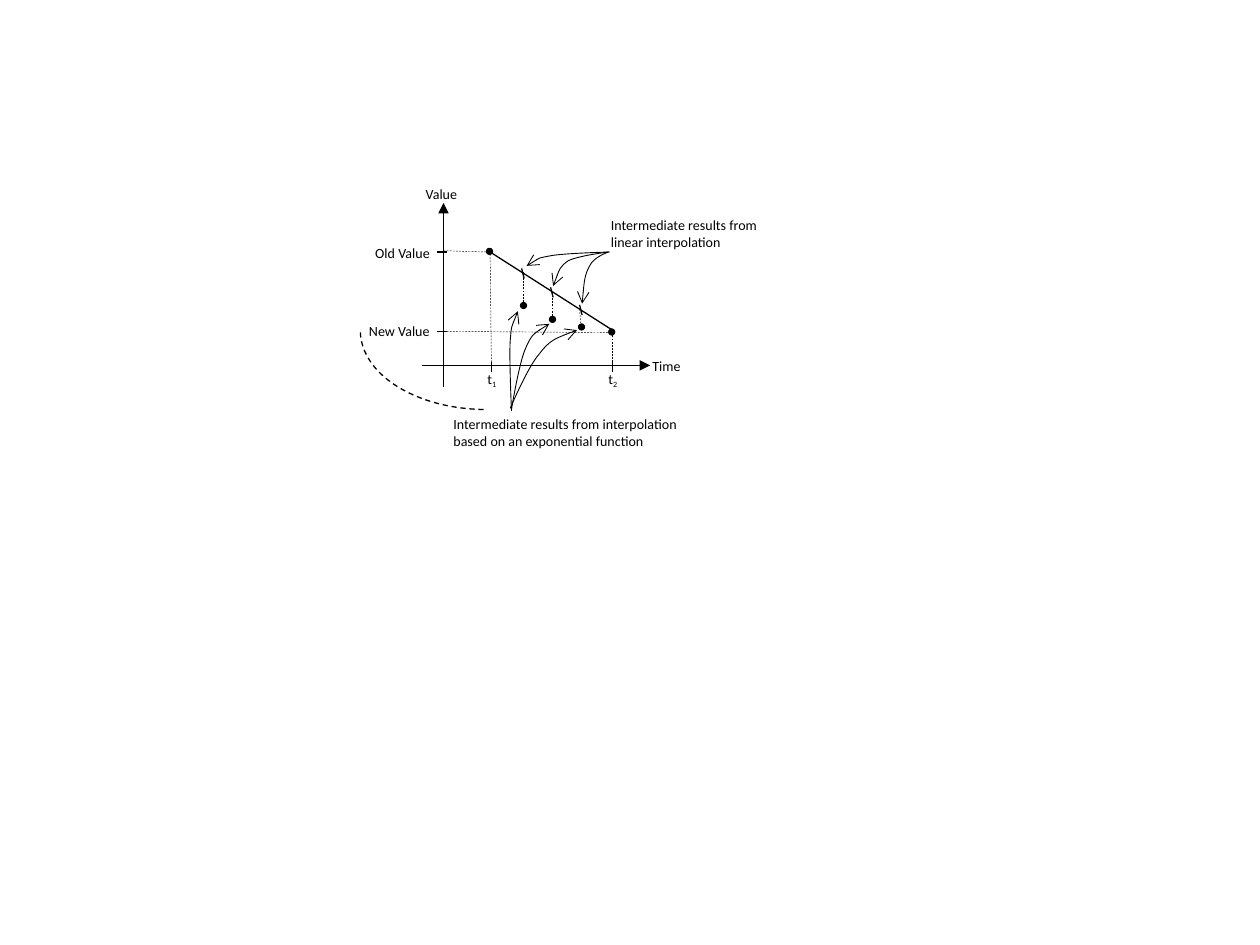
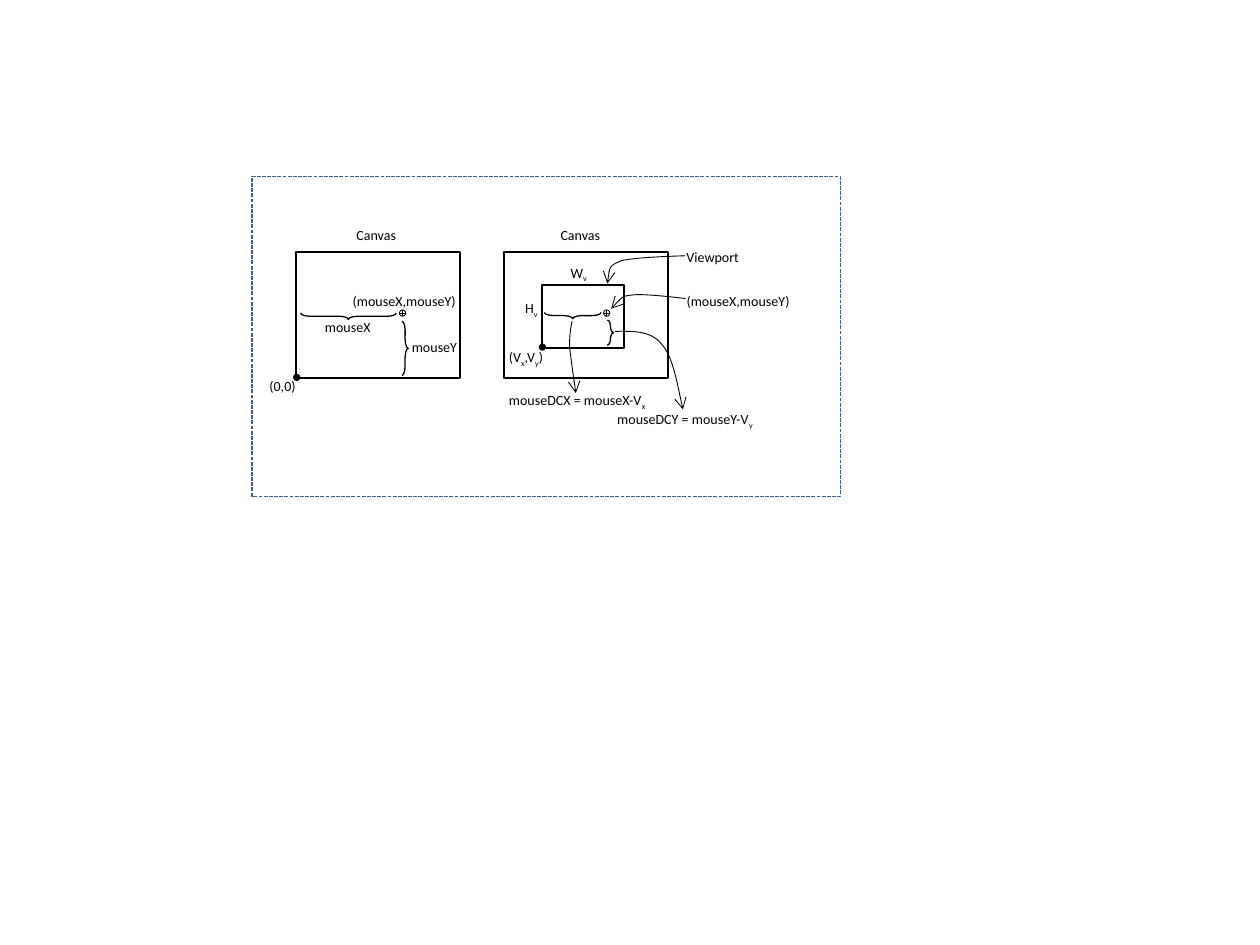
from typing import NamedTuple, Optional

from lxml import etree
from pptx import Presentation
from pptx.dml.color import RGBColor
from pptx.enum.dml import MSO_LINE
from pptx.enum.shapes import MSO_CONNECTOR, MSO_SHAPE
from pptx.enum.text import MSO_AUTO_SIZE
from pptx.oxml.ns import qn
from pptx.util import Inches, Pt

BLACK = RGBColor(0x00, 0x00, 0x00)
FRAME_BLUE = RGBColor(0x3A, 0x5F, 0x8C)
FONT = "Calibri"
LABEL_H = 0.24
DOT = 0.05
TICK = 0.08


class Label(NamedTuple):
    """A text box; an underscore lowers the character after it."""
    text: str
    x: float
    y: float
    w: float


class Line(NamedTuple):
    """A straight line between two points."""
    x1: float
    y1: float
    x2: float
    y2: float


class Curve(NamedTuple):
    """Two joined Bezier segments, starting at the arrow tip."""
    points: tuple


class Brace(NamedTuple):
    """A right brace, turned to point down when rotated by 90 degrees."""
    x: float
    y: float
    h: float
    rotation: int = 0


def add_text(slide, text: str, x: float, y: float, w: float, *, h: float = LABEL_H,
             size: float = 8, right: float = 0.05, color: RGBColor = BLACK):
    """Add a text box, lowering each character that follows an underscore."""
    s = slide.shapes.add_textbox(Inches(x), Inches(y), Inches(w), Inches(h))
    tf = s.text_frame
    tf.word_wrap = True
    tf.auto_size = MSO_AUTO_SIZE.SHAPE_TO_FIT_TEXT
    tf.margin_right = Inches(right)
    first, *rest = text.split("_")
    pieces = [(first, False)]
    for part in rest:
        pieces += [(part[0], True), (part[1:], False)]
    for piece, lowered in pieces:
        if piece:
            r = tf.paragraphs[0].add_run()
            r.text = piece
            r.font.name, r.font.size = FONT, Pt(size)
            r.font.color.rgb = color
            if lowered:
                r._r.get_or_add_rPr().set("baseline", "-25000")
    return s


def set_line(s, width: float, color: RGBColor = BLACK, dash=None, head: Optional[str] = None) -> None:
    """Style an outline and optionally put an arrowhead at its start."""
    s.line.color.rgb = color
    s.line.width = Pt(width)
    if dash:
        s.line.dash_style = dash
    if head:
        ln = s._element.spPr.find(qn("a:ln"))
        etree.SubElement(ln, qn("a:headEnd"), type=head)


def add_line(slide, line: Line, width: float = 0.75, **style):
    """Add a straight connector without a shadow."""
    x1, y1, x2, y2 = map(Inches, line)
    s = slide.shapes.add_connector(MSO_CONNECTOR.STRAIGHT, x1, y1, x2, y2)
    set_line(s, width, **style)
    etree.SubElement(s._element.spPr, qn("a:effectLst"))
    return s


def add_shape(slide, kind, x: float, y: float, w: float, h: float, *,
              width: float = 0.75, fill: Optional[RGBColor] = None, **style):
    """Add an outlined preset shape, empty unless a fill is given."""
    s = slide.shapes.add_shape(kind, Inches(x), Inches(y), Inches(w), Inches(h))
    s.shadow.inherit = False
    if fill is None:
        s.fill.background()
    else:
        s.fill.solid()
        s.fill.fore_color.rgb = fill
    set_line(s, width, **style)
    return s


def add_dot(slide, kind, x: float, y: float, fill: Optional[RGBColor] = BLACK):
    """Add a small round marker."""
    return add_shape(slide, kind, x, y, DOT, DOT, width=0.5, fill=fill)


def add_brace(slide, brace: Brace) -> None:
    """Add a right brace."""
    s = add_shape(slide, MSO_SHAPE.RIGHT_BRACE, brace.x, brace.y, 0.05, brace.h)
    s.adjustments[0] = 1.47
    s.rotation = brace.rotation


def add_curve(slide, curve: Curve) -> None:
    """Add a smooth arrow by grouping each three points into a Bezier segment."""
    start, *rest = [(Inches(x), Inches(y)) for x, y in curve.points]
    builder = slide.shapes.build_freeform(*start)
    s = builder.add_line_segments(rest, close=False).convert_to_shape()
    s.shadow.inherit = False
    s.fill.background()
    set_line(s, 0.5, head="arrow")
    segments = list(s._element.iter(qn("a:lnTo")))
    for i in range(0, len(segments), 3):
        bezier = etree.Element(qn("a:cubicBezTo"))
        segments[i].addprevious(bezier)
        for segment in segments[i:i + 3]:
            bezier.append(segment[0])
            segment.getparent().remove(segment)


GUIDES = (
    Line(3.9, 2.9, 3.89, 2), Line(3.52, 1.99, 3.86, 2),
    Line(4.86, 2.9, 4.86, 2.63), Line(3.52, 2.63, 4.85, 2.64),
    Line(4.15, 2.42, 4.15, 2.16), Line(4.38, 2.53, 4.38, 2.32),
    Line(4.61, 2.59, 4.6, 2.45),
)
AXES = (Line(5.16, 2.9, 3.35, 2.9), Line(3.52, 1.61, 3.52, 3.07))
TIME_TICKS = (3.9, 4.86)
VALUE_TICKS = (2, 2.63)
LINEAR_TICKS = ((4.15, 2.13), (4.38, 2.28), (4.61, 2.42))
VALUE_DOTS = ((3.86, 1.97), (4.13, 2.4), (4.36, 2.51), (4.59, 2.57), (4.83, 2.61))
AXIS_LABELS = (
    Label("Value", 3.28, 1.42, 0.5), Label("New Value", 2.83, 2.51, 0.75),
    Label("Time", 5.08, 2.79, 0.5), Label("t_1", 3.77, 2.89, 0.33),
    Label("t_2", 4.73, 2.89, 0.33), Label("Old Value", 2.88, 1.89, 0.67),
)
NOTES = (
    Label("Intermediate results from linear interpolation", 4.75, 1.67, 1.42),
    Label("Intermediate results from interpolation based on an exponential function",
          3.5, 3.25, 2.25),
)
RESULT_ARROWS = (
    Curve(((4.18, 2.11), (4.22, 2.08), (4.26, 2.05), (4.37, 2.03),
           (4.47, 2.01), (4.84, 2), (4.84, 2))),
    Curve(((4.39, 2.27), (4.42, 2.19), (4.44, 2.12), (4.51, 2.07),
           (4.59, 2.03), (4.83, 2), (4.83, 2))),
    Curve(((4.62, 2.41), (4.63, 2.29), (4.64, 2.18), (4.68, 2.11),
           (4.71, 2.04), (4.83, 2), (4.83, 2))),
    Curve(((4.11, 2.47), (4.09, 2.52), (4.06, 2.57), (4.05, 2.7),
           (4.04, 2.83), (4.06, 3.26), (4.06, 3.26))),
    Curve(((4.36, 2.57), (4.29, 2.61), (4.22, 2.65), (4.17, 2.77),
           (4.12, 2.88), (4.06, 3.25), (4.06, 3.25))),
    Curve(((4.58, 2.62), (4.47, 2.66), (4.36, 2.7), (4.28, 2.81),
           (4.19, 2.91), (4.05, 3.24), (4.05, 3.24))),
)

BOXES = ((2.35, 2, 1.3, 1), (4, 2, 1.3, 1), (4.3, 2.26, 0.65, 0.5))
BRACES = (
    Brace(3.19, 2.55, 0.43), Brace(2.74, 2.13, 0.76, 90),
    Brace(4.82, 2.54, 0.2), Brace(4.52, 2.28, 0.45, 90),
)
MOUSE_MARKS = ((3.17, 2.46), (4.79, 2.46))
ORIGINS = ((2.33, 2.97), (4.28, 2.73))
MOUSE_LABELS = (
    Label("(0,0)", 2.04, 2.95, 0.5), Label("Canvas", 2.73, 1.75, 0.55),
    Label("(mouseX,mouseY)", 2.7, 2.27, 1.02), Label("mouseY", 3.17, 2.64, 0.57),
    Label("mouseX", 2.48, 2.48, 0.57), Label("mouseDCY = mouseY-V_y", 4.8, 3.21, 1.34),
    Label("(V_x,V_y)", 3.94, 2.72, 0.5), Label("H_v", 4.07, 2.33, 0.33),
    Label("W_v", 4.43, 2.05, 0.42), Label("Canvas", 4.35, 1.75, 0.55),
    Label("Viewport", 5.35, 1.92, 0.64), Label("mouseDCX = mouseX-V_x", 3.94, 3.06, 1.33),
    Label("(mouseX,mouseY)", 5.35, 2.27, 1.02),
)
MOUSE_ARROWS = (
    Curve(((4.82, 2.25), (4.82, 2.18), (4.83, 2.11), (4.93, 2.07),
           (5.03, 2.04), (5.44, 2.03), (5.44, 2.03))),
    Curve(((4.57, 3.12), (4.57, 3.12), (4.53, 2.84), (4.52, 2.75),
           (4.52, 2.65), (4.53, 2.6), (4.54, 2.55))),
    Curve(((5.42, 3.25), (5.42, 3.25), (5.34, 2.83), (5.25, 2.73),
           (5.16, 2.62), (5.02, 2.63), (4.88, 2.63))),
    Curve(((4.85, 2.45), (4.89, 2.4), (4.93, 2.35), (5.03, 2.34),
           (5.13, 2.33), (5.44, 2.37), (5.44, 2.37))),
)


def build_interpolation(slide) -> None:
    """Draw linear and exponential interpolation between two values."""
    for guide in GUIDES:
        add_line(slide, guide, 0.25, dash=MSO_LINE.DASH)
    for axis in AXES:
        add_line(slide, axis, head="triangle")
    for x in TIME_TICKS:
        add_line(slide, Line(x, 2.87, x, 2.87 + TICK))
    for y in VALUE_TICKS:
        add_line(slide, Line(3.47, y, 3.47 + TICK, y))
    arc = add_shape(slide, MSO_SHAPE.ARC, 2.86, 2, 2, 1.25, dash=MSO_LINE.DASH)
    arc.adjustments[0] = 163.2
    arc.rotation = 180
    for x, y in VALUE_DOTS:
        add_dot(slide, MSO_SHAPE.OVAL, x, y)
    add_line(slide, Line(4.86, 2.62, 3.89, 2))
    for x, y in LINEAR_TICKS:
        add_line(slide, Line(x - 0.01, y, x + 0.01, y + TICK))
    for label in AXIS_LABELS:
        add_text(slide, *label)
    for note in NOTES:
        add_text(slide, *note, h=0.37, right=0.1)
    for arrow in RESULT_ARROWS:
        add_curve(slide, arrow)


def build_mouse_position(slide) -> None:
    """Draw mouse coordinates in a canvas and in a viewport."""
    add_shape(slide, MSO_SHAPE.RECTANGLE, 2, 1.4, 4.67, 2.54,
              color=FRAME_BLUE, dash=MSO_LINE.SQUARE_DOT)
    for box in BOXES:
        add_shape(slide, MSO_SHAPE.RECTANGLE, *box, width=1)
    for brace in BRACES:
        add_brace(slide, brace)
    for x, y in MOUSE_MARKS:
        add_dot(slide, MSO_SHAPE.FLOWCHART_OR, x, y, fill=None)
    for x, y in ORIGINS:
        add_dot(slide, MSO_SHAPE.FLOWCHART_OR, x, y)
    for label in MOUSE_LABELS:
        add_text(slide, *label)
    for arrow in MOUSE_ARROWS:
        add_curve(slide, arrow)


def main() -> None:
    """Build and save the presentation."""
    prs = Presentation()
    prs.slide_width, prs.slide_height = Inches(10), Inches(7.5)
    for build in (build_interpolation, build_mouse_position):
        build(prs.slides.add_slide(prs.slide_layouts[6]))
    prs.save("out.pptx")


if __name__ == "__main__":
    main()
